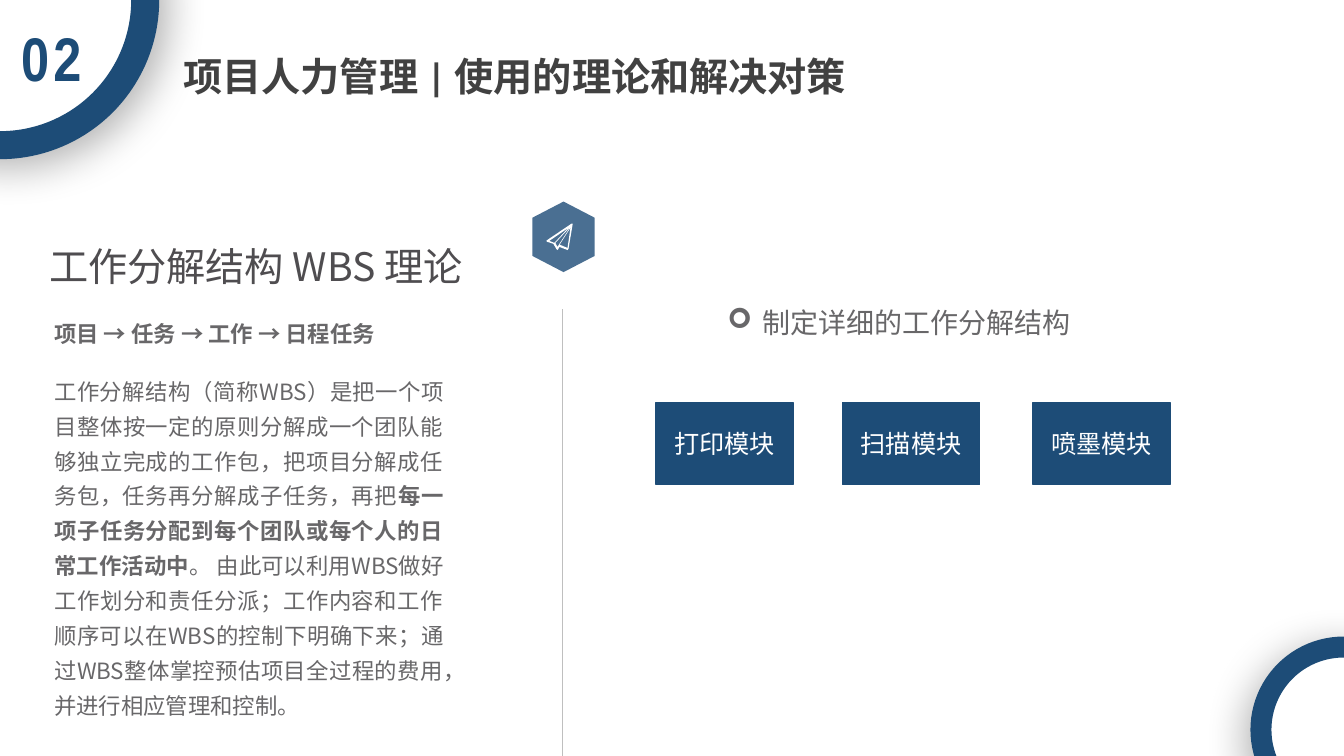
"""Build the slide on the WBS theory and the modules it is applied to."""
import lxml.etree
import pptx
import pptx.dml.color
import pptx.enum.shapes
import pptx.enum.text
import pptx.oxml
import pptx.oxml.ns
import pptx.util

Pt = pptx.util.Pt
qn = pptx.oxml.ns.qn
ALIGN = pptx.enum.text.PP_ALIGN
ANCHOR = pptx.enum.text.MSO_ANCHOR
SHAPE = pptx.enum.shapes.MSO_SHAPE
NOTO = "Noto Sans CJK SC"
BLUE, GRAY = "1D4C77", "686769"


def color(value):
    return pptx.dml.color.RGBColor.from_string(value)


def write(shape, *texts, font="Calibri", size=16, fill=GRAY, bold=(False,),
          align=ALIGN.LEFT, anchor=ANCHOR.TOP, wrap=True, line_spacing=None,
          tracking=None):
    """Fill a shape with one paragraph, one run for each text."""
    frame = shape.text_frame
    frame.auto_size = pptx.enum.text.MSO_AUTO_SIZE.NONE
    frame.word_wrap = wrap
    frame.vertical_anchor = anchor
    paragraph = frame.paragraphs[0]
    paragraph.alignment = align
    if line_spacing:
        paragraph.line_spacing = line_spacing
    for text, weight in zip(texts, bold):
        run = paragraph.add_run()
        run.text = text
        run.font.name, run.font.size, run.font.bold = font, Pt(size), weight
        run.font.color.rgb = color(fill)
        properties = run._r.get_or_add_rPr()
        lxml.etree.SubElement(properties, qn("a:ea"), typeface=NOTO)
        if tracking:
            properties.set("spc", str(tracking * 100))
    return paragraph


presentation = pptx.Presentation()
presentation.slide_width, presentation.slide_height = Pt(960), Pt(540)
slide = presentation.slides.add_slide(presentation.slide_layouts[5])
shapes = slide.shapes

title = shapes.title
title.left, title.top, title.width, title.height = Pt(123.8), Pt(33.8), Pt(508), Pt(41)
write(title, "项目人力管理 | 使用的理论和解决对策", size=28, fill="414141",
      bold=[True], wrap=False)

divider = shapes.add_connector(
    pptx.enum.shapes.MSO_CONNECTOR.STRAIGHT, Pt(401.8), Pt(221), Pt(401.8), Pt(540))
divider.line.color.rgb = color("BFBFBF")
divider.line.width = Pt(0.5)
lxml.etree.SubElement(divider._element.spPr, qn("a:effectLst"))

heading = shapes.add_textbox(Pt(28.1), Pt(159.8), Pt(394), Pt(47))
write(heading, "工作分解结构 WBS 理论", font=NOTO, size=28, fill="4F4D50",
      line_spacing=1.3)

steps = shapes.add_textbox(Pt(31.7), Pt(225.4), Pt(245.5), Pt(26.6))
write(steps, "项目 → 任务 → 工作 → 日程任务", bold=[True], wrap=False)

theory = shapes.add_textbox(Pt(31.7), Pt(260.6), Pt(292.3), Pt(289.4))
write(theory,
      "工作分解结构（简称WBS）是把一个项目整体按一定的原则分解成一个团队能够独立完成的"
      "工作包，把项目分解成任务包，任务再分解成子任务，再把",
      "每一项子任务分配到每个团队或每个人的日常工作活动中",
      "。 由此可以利用WBS做好工作划分和责任分派；工作内容和工作顺序可以在WBS的控制下"
      "明确下来；通过WBS整体掌控预估项目全过程的费用，并进行相应管理和控制。",
      font=NOTO, bold=[False, True, False], align=ALIGN.JUSTIFY, line_spacing=1.3)

hexagon = shapes.add_shape(SHAPE.HEXAGON, Pt(377.3), Pt(146.9), Pt(50.4), Pt(44.6))
hexagon.rotation = 90
hexagon.adjustments[0] = 0.26
hexagon.shadow.inherit = False
hexagon.fill.solid()
hexagon.fill.fore_color.rgb = color(BLUE)
hexagon.line.fill.background()
fill_color = hexagon._element.spPr.find(qn("a:solidFill"))[0]
lxml.etree.SubElement(fill_color, qn("a:alpha"), val="80000")

plane_contours = [
    [(409, 159.8), (408.2, 159.8), (391, 171.4), (390.2, 172.1), (391, 172.8),
     (395.3, 174.2), (397.4, 177.8), (398.2, 178.6), (398.9, 177.8),
     (399.6, 176.4), (405.4, 178.6), (406.1, 177.8), (409, 160.6)],
    [(405.4, 177.1), (400.3, 175), (399.6, 175), (407.5, 162.7)],
    [(396.7, 173.5), (407.5, 162), (398.2, 176.4)],
    [(392.4, 172.1), (406.1, 162.7), (396, 173.5)],
]
builder = shapes.build_freeform(*map(Pt, plane_contours[0][0]))
for contour in plane_contours:
    points = [(Pt(x), Pt(y)) for x, y in contour]
    if contour is not plane_contours[0]:
        builder.move_to(*points[0])
    builder.add_line_segments(points[1:], close=True)
plane = builder.convert_to_shape()
plane.shadow.inherit = False
plane.fill.solid()
plane.fill.fore_color.rgb = color("FFFFFF")
plane.line.fill.background()

for left, top, diameter, ring_width, angle in [
        (-103.7, -103.7, 207.4, 20, 45), (900.7, 462.2, 118.1, 15, 125)]:
    ring = shapes.add_shape(SHAPE.OVAL, Pt(left), Pt(top), Pt(diameter), Pt(diameter))
    ring.fill.solid()
    ring.fill.fore_color.rgb = color("FFFFFF")
    ring.line.color.rgb = color(BLUE)
    ring.line.width = Pt(ring_width)
    ring.shadow.inherit = False
    effects = ring._element.spPr.find(qn("a:effectLst"))
    shadow = lxml.etree.SubElement(
        effects, qn("a:outerShdw"), blurRad=str(Pt(30)), dist=str(Pt(8)),
        dir=str(angle * 60000), algn="ctr", rotWithShape="0")
    shadow_color = lxml.etree.SubElement(shadow, qn("a:srgbClr"), val="000000")
    lxml.etree.SubElement(shadow_color, qn("a:alpha"), val="30000")

number = shapes.add_textbox(Pt(0), Pt(10.8), Pt(73.4), Pt(60.5))
write(number, "02", font="Arial Narrow", size=44, fill=BLUE, bold=[True],
      align=ALIGN.CENTER, tracking=3)

measure = shapes.add_textbox(Pt(512.6), Pt(207.4), Pt(331.2), Pt(36))
paragraph = write(measure, "制定详细的工作分解结构", font=NOTO, size=20,
                  align=ALIGN.JUSTIFY, line_spacing=1.3)
properties = paragraph._p.get_or_add_pPr()
properties.set("marL", str(Pt(25)))
properties.set("indent", str(Pt(-25)))
lxml.etree.SubElement(properties, qn("a:buFont"), typeface="Wingdings")
lxml.etree.SubElement(properties, qn("a:buChar"), char="➢")

for left, label in [(468.7, "打印模块"), (601.9, "扫描模块"), (738, "喷墨模块")]:
    module = shapes.add_shape(SHAPE.RECTANGLE, Pt(left), Pt(287.3), Pt(97.9), Pt(59))
    module.shadow.inherit = False
    module.fill.solid()
    module.fill.fore_color.rgb = color(BLUE)
    module.line.color.rgb = color(BLUE)
    module.line.width = Pt(1)
    write(module, label, size=18, fill="FFFFFF", align=ALIGN.CENTER,
          anchor=ANCHOR.MIDDLE)

presentation.save("out.pptx")
